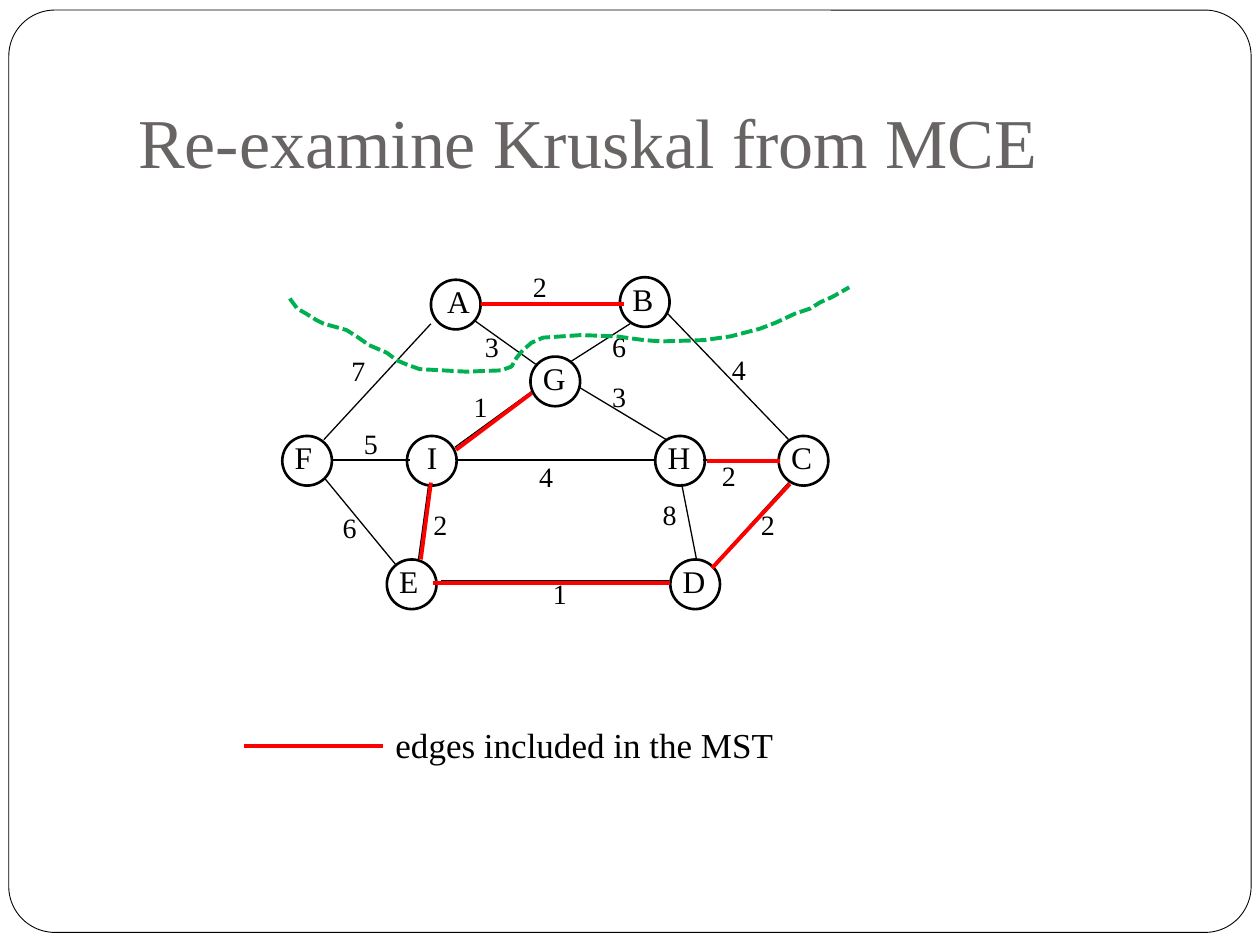
from dataclasses import dataclass

from lxml import etree
from pptx import Presentation
from pptx import util as u
from pptx.dml.color import RGBColor
from pptx.enum import dml, shapes, text
from pptx.oxml.ns import qn

BLACK = RGBColor(0x00, 0x00, 0x00)
WHITE = RGBColor(0xFF, 0xFF, 0xFF)
GREY = RGBColor(0x69, 0x64, 0x64)
RED = RGBColor(0xFF, 0x00, 0x00)
GREEN = RGBColor(0x00, 0xB0, 0x50)

# The slide is a grid of 100 columns by 75 rows of square cells
COLS, ROWS = 100, 75
CELL = u.Inches(10) // COLS
DIAMETER = 3.94


@dataclass
class Node:
    name: str
    col: float
    row: float
    shift: float = 0  # label offset to the right


@dataclass
class Edge:
    x1: float
    y1: float
    x2: float
    y2: float


@dataclass
class Weight:
    value: int
    col: float
    row: float


NODES = [
    Node("A", 34.2, 22.2, 0.3), Node("B", 49.2, 22), Node("I", 32.3, 34.6, 0.6),
    Node("F", 22.4, 34.6), Node("G", 42.1, 28.3), Node("H", 52, 34.6),
    Node("C", 61.8, 34.6), Node("E", 30.7, 44.4), Node("D", 53.2, 44.4),
]

GRAPH_EDGES = [
    Edge(38.1, 24, 49.3, 24),        # A-B
    Edge(26.4, 36.5, 32.5, 36.5),    # F-I
    Edge(36.3, 36.5, 51.9, 36.5),    # I-H
    Edge(55.8, 36.5, 61.9, 36.5),    # H-C
    Edge(36.1, 35.5, 42.3, 31),      # I-G
    Edge(45.9, 30.7, 52.9, 34.9),    # G-H
    Edge(34.2, 25.7, 25.7, 34.9),    # A-F
    Edge(52.9, 24.8, 62.6, 34.9),    # B-C
    Edge(25.8, 38, 31.4, 44.8),      # F-E
    Edge(62.6, 38.3, 56.6, 44.9),    # C-D
    Edge(34, 38.6, 33.2, 44.5),      # I-E
    Edge(54.1, 38.4, 55.3, 44.5),    # H-D
    Edge(37.6, 25.4, 42.5, 28.9),    # A-G
    Edge(50, 25.7, 45.3, 28.7),      # B-G
    Edge(35, 46.1, 53.1, 46.1),      # E-D
]

MST_EDGES = [
    Edge(34.4, 46.3, 53.2, 46.3),    # E-D
    Edge(42.2, 31.2, 36.2, 35.7),    # G-I
    Edge(38.2, 24.1, 49.5, 24.1),    # A-B
    Edge(62.7, 38.4, 56.5, 45.1),    # C-D
    Edge(56.1, 36.6, 61.9, 36.6),    # H-C
    Edge(34.2, 38.3, 33.4, 44.4),    # I-E
    Edge(19.4, 59.2, 30.4, 59.2),    # legend sample
]

WEIGHTS = [
    Weight(2, 41.3, 20.9), Weight(3, 37.5, 25.7), Weight(4, 41.8, 36),
    Weight(1, 36.6, 30.4), Weight(2, 33.4, 39.8), Weight(1, 42.9, 45.3),
    Weight(5, 27.9, 33.4), Weight(6, 26.2, 40), Weight(7, 26.9, 27.6),
    Weight(4, 57.1, 27.5), Weight(2, 59.4, 39.8), Weight(8, 51.6, 39),
    Weight(2, 56.3, 35.9), Weight(6, 47.6, 25.7), Weight(3, 47.6, 29.6),
]

CUT = [
    (23, 23.7), (23.6, 24.5), (24.3, 24.9), (25.1, 25.4), (25.7, 25.7),
    (26.8, 26), (27.5, 26.2), (28.3, 26.7), (29.3, 27.4), (30, 27.7),
    (30.7, 28), (31.5, 28.6), (32.2, 28.9), (33.3, 29.3), (37, 29.5),
    (39.8, 29.4), (40.6, 29.1), (41, 28.4), (41.5, 27.8), (42.2, 27.2),
    (43.1, 26.8), (46.1, 26.6), (48.9, 26.7), (51.1, 27), (52.5, 27.1),
    (55.9, 27), (58, 26.7), (60.3, 26.1), (61.6, 25.6), (63.1, 24.9),
    (64.3, 24.5), (65.1, 24), (66, 23.6), (66.9, 23.1), (67.4, 22.8),
]


def cells(*counts: float) -> list:
    return [u.Emu(round(n * CELL)) for n in counts]


def set_all(target, formats: dict) -> None:
    for name, value in formats.items():
        setattr(target, name, value)


def style_line(line, color: RGBColor, width: float) -> None:
    line.color.rgb = color
    line.width = u.Pt(width)


def add_text(s, words: str, box: tuple, size: float, color=BLACK, **frame):
    tf = s.shapes.add_textbox(*cells(*box)).text_frame
    set_all(tf, {"word_wrap": True, **frame})
    r = tf.paragraphs[0].add_run()
    r.text = words
    set_all(r.font, {"name": "Times New Roman", "size": u.Pt(size)})
    r.font.color.rgb = color


def add_outline(s, kind, box: tuple, width: float):
    sp = s.shapes.add_shape(kind, *cells(*box))
    sp.shadow.inherit = False
    sp.fill.background()
    style_line(sp.line, BLACK, width)
    return sp


def add_edge(s, edge: Edge, color: RGBColor, width: float) -> None:
    ends = cells(edge.x1, edge.y1, edge.x2, edge.y2)
    sp = s.shapes.add_connector(shapes.MSO_CONNECTOR.STRAIGHT, *ends)
    style_line(sp.line, color, width)
    etree.SubElement(sp._element.spPr, qn("a:effectLst"))


def add_node(s, node: Node) -> None:
    add_outline(s, shapes.MSO_SHAPE.OVAL,
                (node.col, node.row, DIAMETER, DIAMETER), 1.5)
    add_text(s, node.name, (node.col + node.shift, node.row - 0.3, 8.7, 4), 18)


def add_cut(s, points: list) -> None:
    start, *rest = [cells(*point) for point in points]
    builder = s.shapes.build_freeform(*start)
    builder.add_line_segments(rest, close=False)
    sp = builder.convert_to_shape()
    sp.shadow.inherit = False
    sp.fill.background()
    style_line(sp.line, GREEN, 2.25)
    sp.line.dash_style = dml.MSO_LINE.SQUARE_DOT


def main() -> None:
    prs = Presentation()
    set_all(prs, {"slide_width": CELL * COLS, "slide_height": CELL * ROWS})
    s = prs.slides.add_slide(prs.slide_layouts[6])

    # Slide frame and title
    frame = add_outline(s, shapes.MSO_SHAPE.ROUNDED_RECTANGLE,
                        (0.7, 0.8, 98.6, 73.2), 0.5)
    frame.adjustments[0] = 0.05
    frame.fill.solid()
    frame.fill.fore_color.rgb = WHITE
    add_text(s, "Re-examine Kruskal from MCE", (10, 3, 85, 12.5), 40, GREY,
             vertical_anchor=text.MSO_ANCHOR.BOTTOM, margin_bottom=CELL)

    # Graph, with the spanning tree over the plain edges
    for node in NODES:
        add_node(s, node)
    for edge in GRAPH_EDGES:
        add_edge(s, edge, BLACK, 0.75)
    for weight in WEIGHTS:
        add_text(s, str(weight.value), (weight.col, weight.row, 5.5, 3.7), 16)
    for edge in MST_EDGES:
        add_edge(s, edge, RED, 2.25)

    # Cut across the graph and legend wording
    add_cut(s, CUT)
    add_text(s, "edges included in the MST", (30.4, 56.9, 32.5, 4.3), 20)

    prs.save("out.pptx")


if __name__ == "__main__":
    main()
